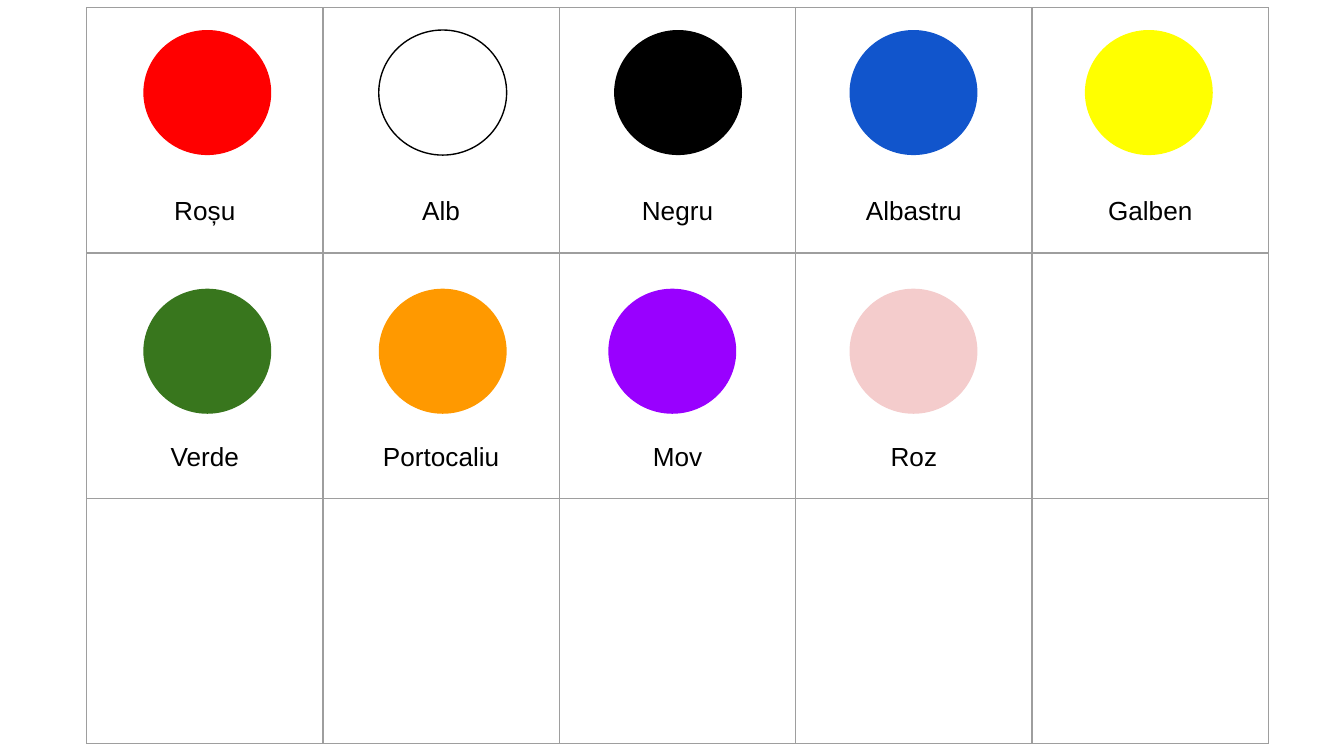
import pptx
import pptx.dml.color
import pptx.enum.shapes
import pptx.enum.text
import pptx.util
import lxml.etree

Pt = pptx.util.Pt
RGBColor = pptx.dml.color.RGBColor
NAMESPACE = "http://schemas.openxmlformats.org/drawingml/2006/main"

COLORS = {
    "Roșu": "FF0000", "Alb": "FFFFFF", "Negru": "000000",
    "Albastru": "1155CC", "Galben": "FFFF00", "Verde": "38761D",
    "Portocaliu": "FF9900", "Mov": "9900FF", "Roz": "F4CCCC",
    "text": "000000", "outline": "000000", "border": "9E9E9E",
}
NAMES = [
    ["Roșu", "Alb", "Negru", "Albastru", "Galben"],
    ["Verde", "Portocaliu", "Mov", "Roz"],
]
ROWS, COLUMNS = 3, 5
COLUMN_WIDTH, ROW_HEIGHT = 126.65, 131.4
CIRCLE_LEFT, CIRCLE_PITCH = 76.8, 126.1
CIRCLE_TOPS = [16.1, 154.7]
CIRCLE_WIDTH, CIRCLE_HEIGHT = 68.5, 67


def add_borders(cell):
    properties = cell._tc.get_or_add_tcPr()
    for side in ("lnL", "lnR", "lnT", "lnB"):
        line = lxml.etree.SubElement(properties, f"{{{NAMESPACE}}}{side}", w=str(Pt(0.75)))
        fill = lxml.etree.SubElement(line, f"{{{NAMESPACE}}}solidFill")
        lxml.etree.SubElement(fill, f"{{{NAMESPACE}}}srgbClr", val=COLORS["border"])


presentation = pptx.Presentation()
presentation.slide_width = Pt(720)
presentation.slide_height = Pt(405)
slide = presentation.slides.add_slide(presentation.slide_layouts[6])

# Table grid
table = slide.shapes.add_table(
    ROWS, COLUMNS, Pt(46.4), Pt(4.1),
    Pt(COLUMNS * COLUMN_WIDTH), Pt(ROWS * ROW_HEIGHT)).table
table.first_row = False
table.horz_banding = False
for column in table.columns:
    column.width = Pt(COLUMN_WIDTH)
for row in table.rows:
    row.height = Pt(ROW_HEIGHT)
for cell in table.iter_cells():
    add_borders(cell)
    cell.fill.background()

# Colour names and circles
for row_index, row_names in enumerate(NAMES):
    for column_index, name in enumerate(row_names):
        cell = table.cell(row_index, column_index)
        cell.margin_left = cell.margin_right = Pt(7.2)
        cell.margin_top, cell.margin_bottom = Pt(101.5), Pt(7.2)
        cell.text_frame.text = name
        paragraph = cell.text_frame.paragraphs[0]
        paragraph.alignment = pptx.enum.text.PP_ALIGN.CENTER
        font = paragraph.runs[0].font
        font.name = "Arial"
        font.size = Pt(14)
        font.color.rgb = RGBColor.from_string(COLORS["text"])

        left = CIRCLE_LEFT + column_index * CIRCLE_PITCH
        if name == "Mov":  # sits slightly left of its column
            left -= 3.1
        circle = slide.shapes.add_shape(
            pptx.enum.shapes.MSO_SHAPE.OVAL, Pt(left), Pt(CIRCLE_TOPS[row_index]),
            Pt(CIRCLE_WIDTH), Pt(CIRCLE_HEIGHT))
        circle.shadow.inherit = False
        circle.fill.solid()
        circle.fill.fore_color.rgb = RGBColor.from_string(COLORS[name])
        if name == "Alb":
            circle.line.color.rgb = RGBColor.from_string(COLORS["outline"])
            circle.line.width = Pt(0.75)
        else:
            circle.line.fill.background()

presentation.save("out.pptx")
